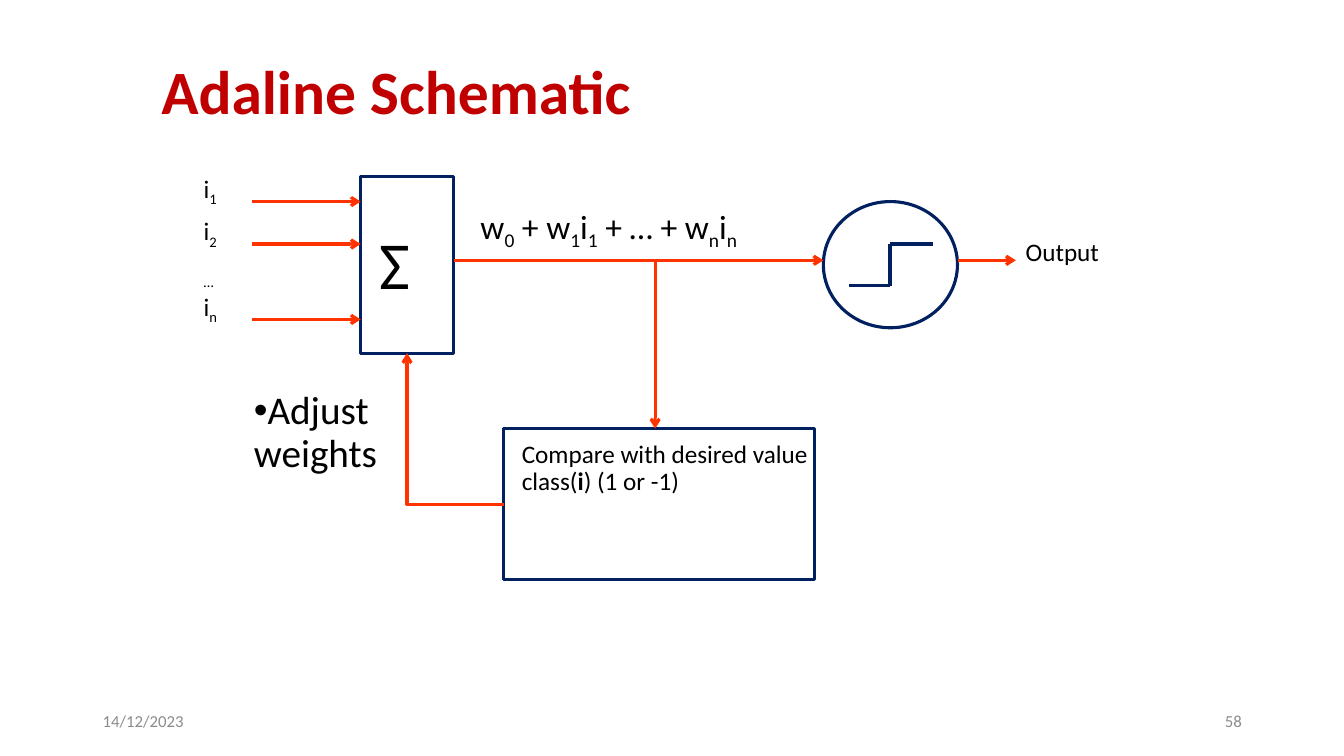
"""Builds the Adaline schematic slide."""
import pptx
import pptx.dml.color
import pptx.enum.shapes
import pptx.enum.text
import pptx.oxml
import pptx.oxml.ns
import pptx.util
from lxml import etree

Cm, Pt = pptx.util.Cm, pptx.util.Pt
RGBColor = pptx.dml.color.RGBColor
SHAPE = pptx.enum.shapes.MSO_SHAPE
CONNECTOR = pptx.enum.shapes.MSO_CONNECTOR
ANCHOR = pptx.enum.text.MSO_ANCHOR
ALIGN = pptx.enum.text.PP_ALIGN
qn = pptx.oxml.ns.qn

BLACK = RGBColor(0x00, 0x00, 0x00)
GREY = RGBColor(0x8C, 0x8C, 0x8C)
CRIMSON = RGBColor(0xC0, 0x00, 0x00)
NAVY = RGBColor(0x00, 0x20, 0x60)
ORANGE = RGBColor(0xFF, 0x33, 0x00)

TITLE = "Adaline Schematic"
TITLE_BOX = (3.81, 1.32, 25.4, 2.11)
SUM_BOX = (9.09, 4.45, 2.34, 4.45)
UNIT_BOX = (20.75, 5.08, 3.38, 3.18)
COMPARE_BOX = (12.7, 10.8, 7.82, 3.81)
INPUTS = [("1", 5.08), ("2", 6.15), ("n", 8.05)]
INPUT_X, LABEL_X, LABEL_RISE = 6.35, 4.88, 0.83
LABEL_W, LABEL_H = 2.34, 1.7
SIGNAL_Y, FEEDBACK_X, OUTPUT_X = 6.56, 16.51, 25.6
STEP = [(21.39, 7.2), (22.43, 7.2), (22.43, 6.15), (23.5, 6.15)]

LABELS = [
    ((LABEL_X, 6.35, LABEL_W, LABEL_H), [("…", "sub")], 18),
    ((9.32, 5.72, 1.9, 2.11), [("Σ", "")], 48),
    ((11.86, 5.08, 10.36, 1.7),
     [("w", ""), ("0", "sub"), (" + w", ""), ("1", "sub"), ("i", ""), ("1", "sub"),
      (" + … + w", ""), ("n", "sub"), ("i", ""), ("n", "sub")], 24),
    ((OUTPUT_X, 5.92, 4.01, 1.7), [("Output", "")], 18),
    ((12.9, 11, 7.82, 3.18),
     [("Compare with desired value", ""), ("", "break"), ("class(", ""),
      ("i", "bold"), (") (1 or -1)", "")], 18),
]
ADJUST_BOX = (6.15, 9.73, 4.88, 3.38)
FOOTERS = [("14/12/2023", 2.34, ALIGN.LEFT), ("58", 23.93, ALIGN.RIGHT)]
FOOTER_Y, FOOTER_W, FOOTER_H = 17.65, 7.62, 1.02


def write(tf, runs, size=18, color=BLACK, bold=False, align=ALIGN.LEFT,
          anchor=ANCHOR.TOP, line=0.9, before=0.1, after=0.3, bullet=False):
    """Fill a text frame with one paragraph of (text, style) runs."""
    tf.word_wrap = True
    tf.vertical_anchor = anchor
    p = tf.paragraphs[0]
    p.alignment = align
    p.line_spacing = line
    p.space_before, p.space_after = Pt(size * before), Pt(size * after)
    if bullet:
        pPr = p._p.get_or_add_pPr()
        etree.SubElement(pPr, qn("a:buFont"), typeface="Arial")
        etree.SubElement(pPr, qn("a:buChar"), char="•")
    for text, style in runs:
        if style == "break":
            p.add_line_break()
            continue
        r = p.add_run()
        r.text = text
        r.font.name, r.font.size = "Calibri", Pt(size)
        r.font.color.rgb = color
        r.font.bold = bold or style == "bold"
        if style == "sub":
            r._r.get_or_add_rPr().set("baseline", "-25000")


def label(s, box, runs, **fmt):
    """Add a text box holding the given runs."""
    write(s.shapes.add_textbox(*map(Cm, box)).text_frame, runs, **fmt)


def outline(s, kind, box):
    """Add an unfilled navy shape."""
    sp = s.shapes.add_shape(kind, *map(Cm, box))
    sp.shadow.inherit = False
    sp.fill.background()
    sp.line.color.rgb, sp.line.width = NAVY, Pt(2.25)
    return sp


def connect(s, start, end, color=ORANGE, arrow=True, kind=CONNECTOR.STRAIGHT):
    """Add a connector between two points."""
    c = s.shapes.add_connector(kind, *map(Cm, start + end))
    c.line.color.rgb, c.line.width = color, Pt(2.25)
    if arrow:
        etree.SubElement(c.line._get_or_add_ln(), qn("a:tailEnd"), type="arrow")
    etree.SubElement(c._element.spPr, qn("a:effectLst"))
    return c


def main():
    """Build and save the slide."""
    prs = pptx.Presentation()
    prs.slide_width, prs.slide_height = Cm(33.87), Cm(19.05)
    s = prs.slides.add_slide(prs.slide_layouts[5])

    title = s.shapes.title
    title.left, title.top, title.width, title.height = map(Cm, TITLE_BOX)
    write(title.text_frame, [(TITLE, "")], size=44, color=CRIMSON, bold=True,
          anchor=ANCHOR.MIDDLE, before=0, after=0)

    sum_box = outline(s, SHAPE.RECTANGLE, SUM_BOX)
    outline(s, SHAPE.OVAL, UNIT_BOX)
    compare = outline(s, SHAPE.RECTANGLE, COMPARE_BOX)

    for index, y in INPUTS:
        connect(s, (INPUT_X, y), (SUM_BOX[0], y))
        label(s, (LABEL_X, y - LABEL_RISE, LABEL_W, LABEL_H),
              [("i", ""), (index, "sub")])
    for box, runs, size in LABELS:
        label(s, box, runs, size=size)
    label(s, ADJUST_BOX, [("Adjust weights", "")], size=28, bullet=True)

    connect(s, (SUM_BOX[0] + SUM_BOX[2], SIGNAL_Y), (UNIT_BOX[0], SIGNAL_Y))
    connect(s, (UNIT_BOX[0] + UNIT_BOX[2], SIGNAL_Y), (OUTPUT_X, SIGNAL_Y))
    connect(s, (FEEDBACK_X, SIGNAL_Y), (FEEDBACK_X, COMPARE_BOX[1]))
    for start, end in zip(STEP, STEP[1:]):
        connect(s, start, end, color=NAVY, arrow=False)

    adjust = connect(s, (12.7, 12.7), (10.26, 8.9), kind=CONNECTOR.ELBOW)
    adjust.begin_connect(compare, 1)
    adjust.end_connect(sum_box, 2)
    adjust._element.spPr.find(qn("a:prstGeom")).set("prst", "bentConnector2")

    for text, x, align in FOOTERS:
        label(s, (x, FOOTER_Y, FOOTER_W, FOOTER_H), [(text, "")], size=12, color=GREY,
              align=align, anchor=ANCHOR.MIDDLE, line=1, before=0, after=0)

    prs.save("out.pptx")


if __name__ == "__main__":
    main()
